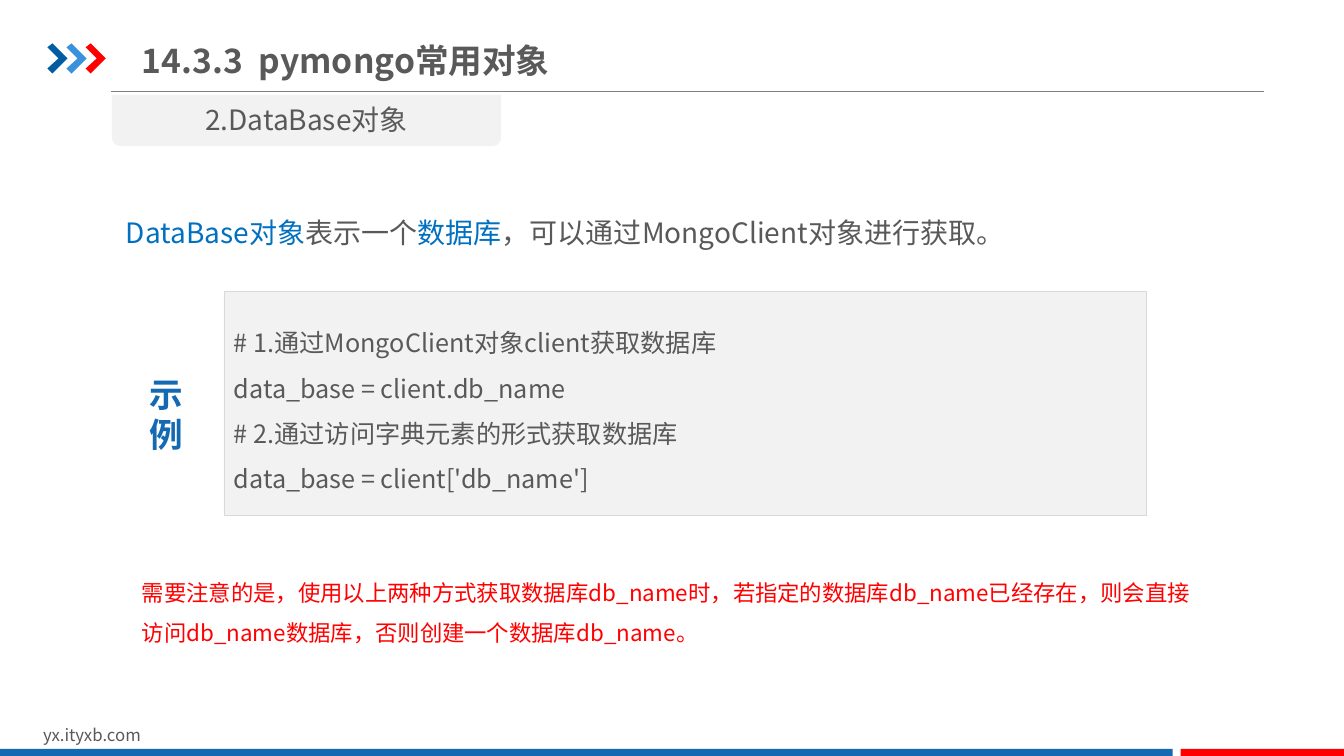
from dataclasses import dataclass

from lxml import etree
from pptx import Presentation
from pptx.dml.color import RGBColor
from pptx.enum.shapes import MSO_CONNECTOR, MSO_SHAPE
from pptx.enum.text import MSO_ANCHOR, PP_ALIGN
from pptx.oxml.ns import qn
from pptx.util import Inches, Pt

RECTANGLE = MSO_SHAPE.RECTANGLE
ROUNDED_TAB = MSO_SHAPE.ROUND_2_SAME_RECTANGLE
STRAIGHT = MSO_CONNECTOR.STRAIGHT
LEFT, CENTER = PP_ALIGN.LEFT, PP_ALIGN.CENTER
TOP, MIDDLE = MSO_ANCHOR.TOP, MSO_ANCHOR.MIDDLE


@dataclass(frozen=True)
class Theme:
    """Colours, font and type sizes of the slide."""
    font: str = "Noto Sans CJK SC"
    text: str = "595959"
    blue: str = "1369B2"
    dark_blue: str = "005DA2"
    light_blue: str = "3992DB"
    highlight: str = "0070C0"
    red: str = "FF0000"
    panel: str = "F2F2F2"
    border: str = "D9D9D9"
    rule: str = "808080"
    heading_size: int = 24
    body_size: int = 20
    code_size: int = 18
    note_size: int = 16
    footer_size: int = 12


THEME = Theme()


def rgb(color):
    """Turn a hex string into a colour."""
    return RGBColor.from_string(color)


def style_shape(shape, fill, border=None):
    """Give a shape a plain fill and an optional thin border."""
    shape.shadow.inherit = False
    shape.fill.solid()
    shape.fill.fore_color.rgb = rgb(fill)
    if border:
        shape.line.color.rgb = rgb(border)
        shape.line.width = Pt(0.25)
    else:
        shape.line.fill.background()


def add_block(slide, box, fill, border=None, kind=RECTANGLE):
    """Add a filled preset shape."""
    shape = slide.shapes.add_shape(kind, *map(Inches, box))
    style_shape(shape, fill, border)
    return shape


def add_chevron(slide, left, top, fill):
    """Add one chevron of the heading marker."""
    outline = [(0, 0.04), (0.05, 0), (0.2, 0.15), (0.05, 0.3), (0, 0.25), (0.11, 0.15)]
    points = [(Inches(left + x), Inches(top + y)) for x, y in outline]
    builder = slide.shapes.build_freeform(*points[0])
    builder.add_line_segments(points[1:], close=True)
    style_shape(builder.convert_to_shape(), fill)


def add_rule(slide, left, right, top):
    """Add the thin horizontal rule below the heading."""
    line = slide.shapes.add_connector(
        STRAIGHT, Inches(left), Inches(top), Inches(right), Inches(top))
    line.line.color.rgb = rgb(THEME.rule)
    line.line.width = Pt(0.75)
    etree.SubElement(line.element.spPr, qn("a:effectLst"))


def add_tab_stop(paragraph, position):
    """Add a left tab stop to a paragraph."""
    tabs = etree.SubElement(paragraph._p.get_or_add_pPr(), qn("a:tabLst"))
    etree.SubElement(tabs, qn("a:tab"), pos=str(Inches(position)), algn="l")


def write_text(shape, paragraphs, size, color=THEME.text, bold=False,
               align=LEFT, anchor=TOP, spacing=1.0, tab=None):
    """Write paragraphs, each a string or a list of (text, colour) runs."""
    frame = shape.text_frame
    frame.word_wrap = True
    frame.vertical_anchor = anchor
    for index, content in enumerate(paragraphs):
        paragraph = frame.add_paragraph() if index else frame.paragraphs[0]
        paragraph.alignment = align
        paragraph.line_spacing = spacing
        if tab:
            add_tab_stop(paragraph, tab)
        runs = [(content, color)] if isinstance(content, str) else content
        for text, run_color in runs:
            run = paragraph.add_run()
            run.text = text
            run.font.name = THEME.font
            run.font.size = Pt(size)
            run.font.bold = bold
            run.font.color.rgb = rgb(run_color)
            east_asian = etree.Element(qn("a:ea"), typeface=THEME.font)
            run.font._element.find(qn("a:latin")).addnext(east_asian)


def add_text(slide, box, paragraphs, size, **text_format):
    """Add a text box with formatted paragraphs."""
    shape = slide.shapes.add_textbox(*map(Inches, box))
    write_text(shape, paragraphs, size, **text_format)


def add_frame(slide):
    """Add the rule, heading marker and footer."""
    add_rule(slide, 1.1, 12.54, 0.91)
    for index, color in enumerate((THEME.dark_blue, THEME.light_blue, THEME.red)):
        add_chevron(slide, 0.47 + index * 0.19, 0.43, color)
    add_text(slide, (0.33, 7.14, 3.18, 0.3), ["yx.ityxb.com"], THEME.footer_size)
    add_block(slide, (0, 7.43, 11.63, 0.09), THEME.blue)
    add_block(slide, (11.71, 7.43, 1.63, 0.09), THEME.red)


def add_headings(slide):
    """Add the section title and its subtitle tab."""
    add_text(slide, (1.31, 0.29, 5.41, 0.61), ["14.3.3\tpymongo常用对象"],
             THEME.heading_size, bold=True, anchor=MIDDLE, tab=1.16)
    subtitle_tab = add_block(slide, (1.11, 0.94, 3.86, 0.51), THEME.panel,
                             kind=ROUNDED_TAB)
    subtitle_tab.rotation = 180
    add_text(slide, (1.11, 0.97, 3.86, 0.44), ["2.DataBase对象"],
             THEME.body_size, align=CENTER)


def add_example(slide):
    """Add the code panel and its label."""
    code = [
        "# 1.通过MongoClient对象client获取数据库",
        "data_base = client.db_name",
        "# 2.通过访问字典元素的形式获取数据库",
        "data_base = client['db_name']",
    ]
    panel = add_block(slide, (2.22, 2.89, 9.15, 2.22), THEME.panel, THEME.border)
    write_text(panel, code, THEME.code_size, anchor=MIDDLE, spacing=1.5)
    add_text(slide, (1.23, 3.66, 0.84, 0.96), ["示", "例"], THEME.heading_size,
             color=THEME.blue, bold=True, align=CENTER)


def main():
    """Build the slide and save it."""
    presentation = Presentation()
    presentation.slide_width = Inches(13.33)
    presentation.slide_height = Inches(7.5)
    slide = presentation.slides.add_slide(presentation.slide_layouts[6])
    add_frame(slide)
    add_headings(slide)
    definition = [
        ("DataBase对象", THEME.highlight),
        ("表示一个", THEME.text),
        ("数据库", THEME.highlight),
        ("，可以通过MongoClient对象进行获取。", THEME.text),
    ]
    add_text(slide, (1.15, 1.92, 10.7, 0.61), [definition], THEME.body_size, spacing=1.5)
    add_example(slide)
    note = ("需要注意的是，使用以上两种方式获取数据库db_name时，若指定的数据库db_name"
            "已经存在，则会直接访问db_name数据库，否则创建一个数据库db_name。")
    add_text(slide, (1.31, 5.56, 10.7, 0.99), [note], THEME.note_size,
             color=THEME.red, spacing=1.5)
    presentation.save("out.pptx")


if __name__ == "__main__":
    main()
